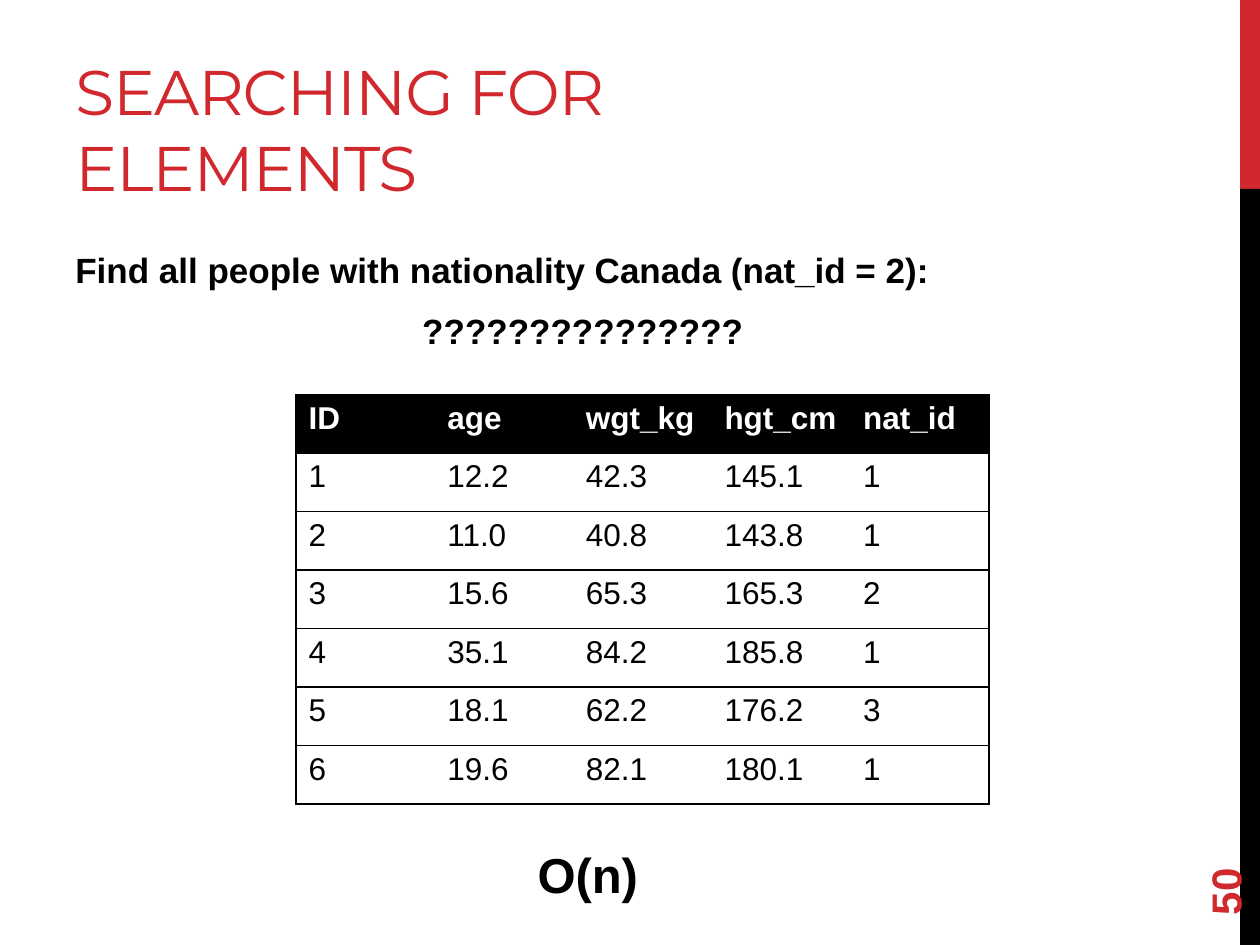
from lxml.etree import SubElement
from pptx import Presentation
from pptx.dml.color import RGBColor
from pptx.enum.shapes import MSO_SHAPE as Shape
from pptx.enum.text import MSO_ANCHOR as Anchor, PP_ALIGN as Align
from pptx.oxml.ns import qn
from pptx.util import Cm, Pt

RED = RGBColor(0xD1, 0x28, 0x2E)
BLACK = RGBColor(0x00, 0x00, 0x00)
WHITE = RGBColor(0xFF, 0xFF, 0xFF)

PEOPLE = [
    ("ID", "age", "wgt_kg", "hgt_cm", "nat_id"),
    ("1", "12.2", "42.3", "145.1", "1"),
    ("2", "11.0", "40.8", "143.8", "1"),
    ("3", "15.6", "65.3", "165.3", "2"),
    ("4", "35.1", "84.2", "185.8", "1"),
    ("5", "18.1", "62.2", "176.2", "3"),
    ("6", "19.6", "82.1", "180.1", "1"),
]


def add_run(p, text, size, color=BLACK, bold=True, font="Arial"):
    """Append a formatted run to a paragraph."""
    r = p.add_run()
    r.text = text
    r.font.size = Pt(size)
    r.font.name = font
    r.font.bold = bold
    r.font.color.rgb = color
    return r


def add_textbox(s, box, anchor=Anchor.TOP):
    """Add a wrapping text box and return its shape."""
    sp = s.shapes.add_textbox(*map(Cm, box))
    sp.text_frame.word_wrap = True
    sp.text_frame.vertical_anchor = anchor
    return sp


def add_side_bar(s, box):
    """Draw the edge bar, its top fifth red and the rest black."""
    left, top, width, height = box
    split = height / 5
    for y, h, color in ((top, split, RED), (top + split, height - split, BLACK)):
        sp = s.shapes.add_shape(Shape.RECTANGLE, Cm(left), Cm(y), Cm(width), Cm(h))
        sp.shadow.inherit = False
        sp.fill.solid()
        sp.fill.fore_color.rgb = color
        sp.line.fill.background()


def add_title(s, box):
    """Place the slide title at the bottom of its box."""
    p = add_textbox(s, box, Anchor.BOTTOM).text_frame.paragraphs[0]
    r = add_run(p, "SEARCHING FOR ELEMENTS", 36, RED, False, "Montserrat")
    r.font._element.set("spc", "-60")


def add_question(s, box):
    """Place the search question and its open answer."""
    tf = add_textbox(s, box).text_frame
    p = tf.paragraphs[0]
    p.space_after = Pt(6)
    add_run(p, "Find all people with nationality Canada (nat_id = 2):", 20)
    p = tf.add_paragraph()
    p.alignment = Align.CENTER
    p.space_before = Pt(5)
    add_run(p, "??????????????? ", 20)


def set_borders(cell, sides):
    """Rule the named sides of a cell in black and clear the others."""
    tc_pr = cell._tc.get_or_add_tcPr()
    for side in "LRTB":
        ln = SubElement(tc_pr, qn(f"a:ln{side}"), w=str(Pt(1)))
        if side in sides:
            fill = SubElement(ln, qn("a:solidFill"))
            SubElement(fill, qn("a:srgbClr"), val=str(BLACK))
        else:
            SubElement(ln, qn("a:noFill"))


def add_people_table(s, box):
    """Build the people table with a black header and ruled rows."""
    n_rows, n_cols = len(PEOPLE), len(PEOPLE[0])
    table = s.shapes.add_table(n_rows, n_cols, *map(Cm, box)).table
    for col in table.columns:
        col.width = Cm(box[2] / n_cols)
    for i, values in enumerate(PEOPLE):
        table.rows[i].height = Cm(box[3] / n_rows)
        header = i == 0
        for j, value in enumerate(values):
            cell = table.cell(i, j)
            ends = ("L" if j == 0 else "") + ("R" if j == n_cols - 1 else "")
            set_borders(cell, "TB" + ends)
            if header:
                cell.fill.solid()
                cell.fill.fore_color.rgb = BLACK
            else:
                cell.fill.background()
            p = cell.text_frame.paragraphs[0]
            add_run(p, value, 18, WHITE if header else BLACK, header)


def add_complexity(s, box):
    """Place the centred running time."""
    p = add_textbox(s, box).text_frame.paragraphs[0]
    p.alignment = Align.CENTER
    add_run(p, "O(n)", 28)


def add_page_number(s, box):
    """Place the page number, reading upwards."""
    sp = add_textbox(s, box, Anchor.MIDDLE)
    sp.rotation = 270
    add_run(sp.text_frame.paragraphs[0], "50", 24, RED)


def main():
    """Build and save the slide."""
    prs = Presentation()
    prs.slide_width, prs.slide_height = Cm(25.4), Cm(19.05)
    s = prs.slides.add_slide(prs.slide_layouts[6])
    add_side_bar(s, (25, 0, 0.4, 19.05))
    add_title(s, (1.27, 0.43, 16.08, 3.81))
    add_question(s, (1.27, 4.88, 21.16, 12.14))
    add_page_number(s, (22.86, 16.36, 3.66, 1.02))
    add_people_table(s, (5.97, 7.95, 13.97, 8.26))
    add_complexity(s, (10.26, 16.89, 3.18, 1.45))
    prs.save("out.pptx")


if __name__ == "__main__":
    main()
